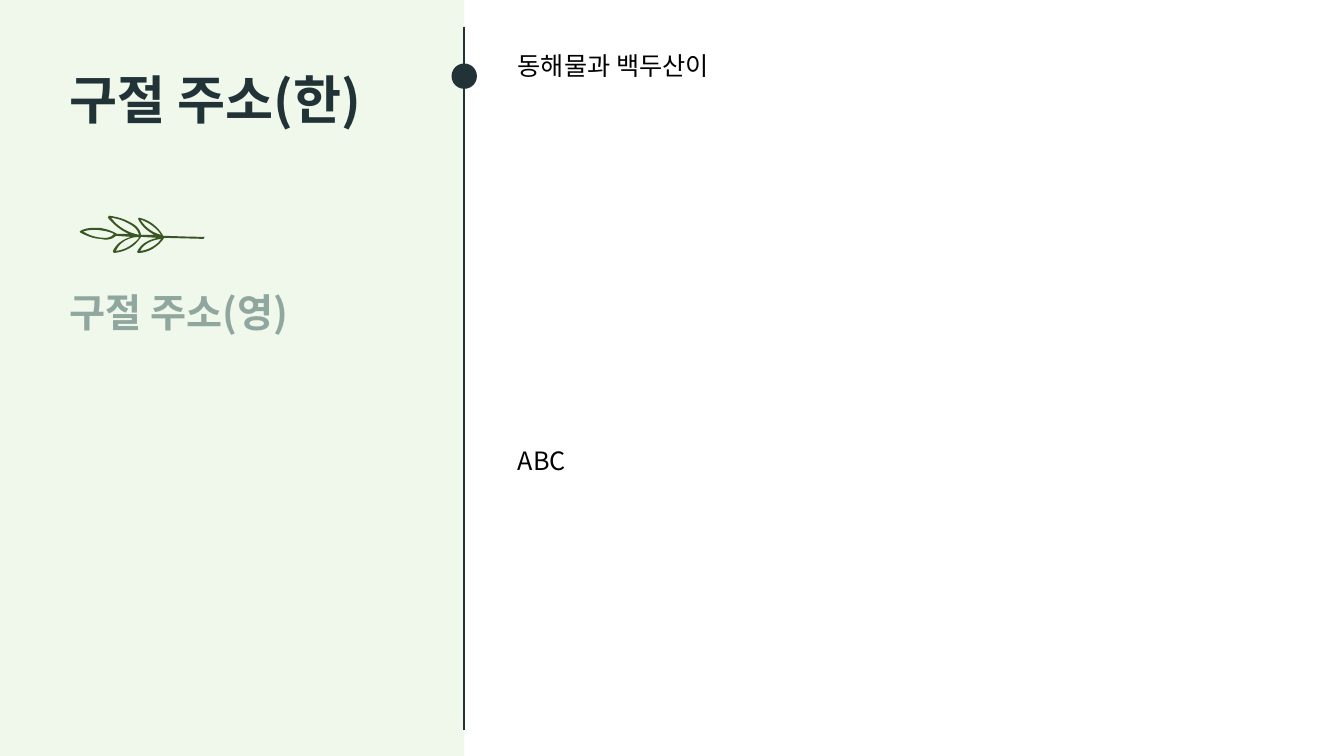
from pptx import Presentation, util as u
from pptx.dml.color import RGBColor
from pptx.enum import shapes, text
from pptx.oxml import parse_xml
from pptx.oxml.ns import nsdecls, qn

DARK, MINT, LEAF, SAGE, BLACK = "213337", "E2F0D9", "385723", "8FA79F", "000000"
SPRIG = [
    [(80, 231), (86, 234, 93, 237, 100, 237), (106, 239, 112, 237, 115, 234),
     (130, 235), (120, 238, 115, 243, 112, 249), (113, 251),
     (124, 250, 134, 245, 140, 235), (156, 236), (148, 238, 140, 241, 136, 250),
     (137, 251), (147, 251, 157, 245, 163, 236), (202, 237), (203, 235),
     (188, 235, 167, 234, 162, 234), (157, 225, 148, 218, 138, 216), (137, 217),
     (141, 226, 148, 230, 153, 233), (140, 233), (139, 228, 136, 224, 130, 221),
     (123, 217, 116, 215, 108, 214), (107, 216), (113, 223, 120, 229, 128, 232),
     (116, 232), (111, 229, 106, 227, 98, 226), (91, 226, 85, 226, 80, 229),
     (79, 230)],
    [(160, 237), (155, 244, 147, 248, 139, 249), (143, 241, 152, 238, 160, 237)],
    [(140, 218), (148, 221, 155, 226, 160, 233), (151, 231, 144, 225, 140, 219)],
    [(138, 236), (132, 243, 124, 248, 115, 249), (117, 244, 123, 236, 137, 235)],
    [(110, 216), (117, 217, 123, 219, 128, 222), (134, 225, 137, 229, 138, 233),
     (127, 231, 117, 225, 111, 217)],
    [(82, 230), (87, 228, 92, 228, 96, 228), (104, 229, 109, 230, 113, 232),
     (111, 235, 108, 236, 104, 236), (95, 236, 88, 233, 83, 230)],
]


def tint(code):
    return RGBColor.from_string(code)


def trace(path, steps=8):
    spots = [path[0]]
    for part in path[1:]:
        if len(part) == 2:
            spots.append(part)
            continue
        ends = [spots[-1], part[:2], part[2:4], part[4:]]
        for step in range(1, steps + 1):
            t = step / steps
            rates = ((1 - t) ** 3, 3 * t * (1 - t) ** 2, 3 * t * t * (1 - t), t ** 3)
            spots.append(tuple(sum(r * e[i] for r, e in zip(rates, ends)) for i in (0, 1)))
    return [tuple(u.Cm(v * 0.0254) for v in spot) for spot in spots]


class Board:
    """Hold the deck style and the current slide."""

    face = "Noto Sans CJK KR"

    def __init__(self):
        self.deck = Presentation()
        self.deck.slide_width, self.deck.slide_height = u.Cm(33.87), u.Cm(19.05)
        self.slide = self.deck.slides.add_slide(self.deck.slide_layouts[6])
        self.items = self.slide.shapes

    def paint(self, shape, color, alpha=None):
        shape.shadow.inherit = False
        shape.fill.solid()
        shape.fill.fore_color.rgb = tint(color)
        shape.line.fill.background()
        if alpha:
            node = shape.fill._xPr.find(qn("a:solidFill"))[0]
            node.append(parse_xml(f'<a:alpha {nsdecls("a")} val="{alpha * 1000}"/>'))

    def shape(self, kind, box, color, alpha=None):
        self.paint(self.items.add_shape(kind, *map(u.Cm, box)), color, alpha)

    def line(self, x, top, end, color, width):
        rule = self.items.add_connector(
            shapes.MSO_CONNECTOR.STRAIGHT, *map(u.Cm, (x, top, x, end)))
        rule.line.color.rgb, rule.line.width = tint(color), u.Pt(width)
        rule._element.spPr.append(parse_xml(f'<a:effectLst {nsdecls("a")}/>'))

    def outline(self, paths, color):
        first, *rest = map(trace, paths)
        form = self.items.build_freeform(*first[0], scale=1.0)
        form.add_line_segments(first[1:], close=True)
        for path in rest:
            form.move_to(*path[0])
            form.add_line_segments(path[1:], close=True)
        self.paint(form.convert_to_shape(), color)

    def text(self, words, box, size, color, bold=False):
        frame = self.items.add_textbox(*map(u.Cm, box)).text_frame
        frame.word_wrap = True
        frame.auto_size = text.MSO_AUTO_SIZE.SHAPE_TO_FIT_TEXT
        run = frame.paragraphs[0].add_run()
        run.text = words
        style = {"name": self.face, "size": u.Pt(size), "bold": bold}
        for key, value in style.items():
            setattr(run.font, key, value)
        run.font.color.rgb = tint(color)
        run.font._element.append(
            parse_xml(f'<a:ea {nsdecls("a")} typeface="{self.face}"/>'))


def main():
    board = Board()
    kind = shapes.MSO_SHAPE
    axis, dot = 11.7, 0.64
    left, wide = 1.5, 10.74
    body, span = 12.8, 20.14
    board.shape(kind.RECTANGLE, (-0.02, 0, axis + 0.02, 19.05), MINT, 50)
    board.text("구절 주소(한)", (left, 1.57, wide, 1.85), 37.3, DARK, True)
    board.line(axis, 0.67, 18.4, DARK, 1.5)
    board.shape(kind.OVAL, (axis - dot / 2, 1.6, dot, dot), DARK)
    board.outline(SPRIG, LEAF)
    board.text("구절 주소(영)", (left, 7.14, wide, 1.45), 28, SAGE, True)
    for words, top in (("동해물과 백두산이", 1.14), ("ABC", 11.1)):
        board.text(words, (body, top, span, 1.02), 18, BLACK)
    board.deck.save("out.pptx")


if __name__ == "__main__":
    main()
